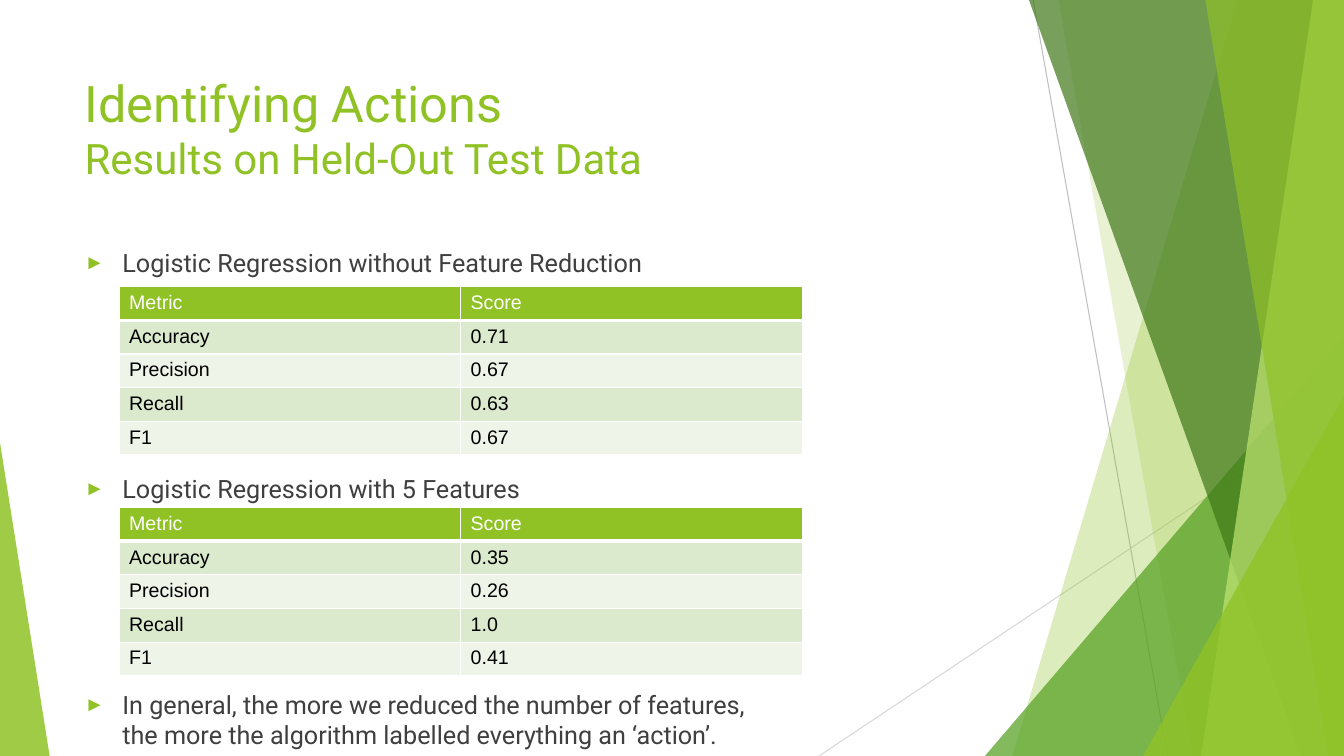
from lxml import etree
from pptx import Presentation
from pptx.dml.color import RGBColor
from pptx.enum import shapes, text
from pptx.oxml import ns
from pptx.util import Pt

LIME = RGBColor(0x90, 0xC2, 0x26)
PALE_LIME = RGBColor(0xBF, 0xE4, 0x71)
GREEN = RGBColor(0x54, 0xA0, 0x21)
DARK_GREEN = RGBColor(0x3F, 0x78, 0x18)
BAND_DARK = RGBColor(0xDB, 0xE9, 0xCD)
BAND_LIGHT = RGBColor(0xEE, 0xF4, 0xE8)
GRAY = RGBColor(0xBF, 0xBF, 0xBF)
LIGHT_GRAY = RGBColor(0xD8, 0xD8, 0xD8)
BODY_GRAY = RGBColor(0x3F, 0x3F, 0x3F)
WHITE = RGBColor(0xFF, 0xFF, 0xFF)
BLACK = RGBColor(0, 0, 0)

WIDTH, HEIGHT = 960, 540
METRICS = ("Accuracy", "Precision", "Recall", "F1")


def add_child(parent, tag, **attributes):
    return etree.SubElement(parent, ns.qn(tag), attributes)


def paint(facet, color, opacity):
    facet.shadow.inherit = False
    facet.line.fill.background()
    facet.fill.solid()
    facet.fill.fore_color.rgb = color
    rgb = facet.element.spPr.find(".//" + ns.qn("a:srgbClr"))
    add_child(rgb, "a:alpha", val=str(opacity * 1000))


def add_panel(slide, top_x, bottom_x, color, opacity):
    """Panel from a slanted left edge to the right edge of the slide."""
    outline = slide.shapes.build_freeform(Pt(top_x), 0)
    outline.add_line_segments(
        [(Pt(WIDTH), 0), (Pt(WIDTH), Pt(HEIGHT)), (Pt(bottom_x), Pt(HEIGHT))])
    paint(outline.convert_to_shape(), color, opacity)


def add_corner(slide, left, top, width, apex, color, opacity):
    """Triangle that stands on the bottom edge of the slide."""
    corner = slide.shapes.add_shape(
        shapes.MSO_SHAPE.ISOSCELES_TRIANGLE,
        Pt(left), Pt(top), Pt(width), Pt(HEIGHT - top))
    corner.adjustments[0] = apex
    paint(corner, color, opacity)


def add_hairline(slide, x1, y1, x2, y2, color):
    hairline = slide.shapes.add_connector(
        shapes.MSO_CONNECTOR.STRAIGHT, Pt(x1), Pt(y1), Pt(x2), Pt(y2))
    hairline.line.color.rgb = color
    hairline.line.width = Pt(0.75)
    add_child(hairline.element.spPr, "a:effectLst")


def add_text(slide, top, height):
    frame = slide.shapes.add_textbox(Pt(53.3), Pt(top), Pt(677), Pt(height)).text_frame
    frame.word_wrap = True
    frame.vertical_anchor = text.MSO_ANCHOR.TOP
    return frame


def write(paragraph, words, size, color, font="Roboto"):
    paragraph.text = words
    paragraph.font.name = font
    paragraph.font.size = Pt(size)
    paragraph.font.color.rgb = color


def add_bullet(paragraph):
    properties = paragraph._p.get_or_add_pPr()
    properties.set("marL", str(Pt(27)))
    properties.set("indent", str(-Pt(27)))
    add_child(add_child(properties, "a:buClr"), "a:srgbClr", val=str(LIME))
    add_child(properties, "a:buSzPct", val="80000")
    add_child(properties, "a:buFont", typeface="Arial")
    add_child(properties, "a:buChar", char="►")


def add_borders(cell, bottom):
    properties = cell._tc.get_or_add_tcPr()
    for side, width in (("L", 1), ("R", 1), ("T", 1), ("B", bottom)):
        border = add_child(properties, f"a:ln{side}", w=str(Pt(width)))
        add_child(add_child(border, "a:solidFill"), "a:srgbClr", val=str(WHITE))


def add_scores(slide, top, scores):
    rows = [("Metric", "Score"), *zip(METRICS, scores)]
    row_height = 22.4
    table = slide.shapes.add_table(
        len(rows), 2, Pt(85), Pt(top), Pt(488), Pt(row_height * len(rows))).table
    for i, row in enumerate(rows):
        table.rows[i].height = Pt(row_height)
        for j, words in enumerate(row):
            cell = table.cell(i, j)
            header = i == 0
            add_borders(cell, 3 if header else 1)
            cell.fill.solid()
            cell.fill.fore_color.rgb = (
                LIME if header else BAND_DARK if i % 2 else BAND_LIGHT)
            paragraph = cell.text_frame.paragraphs[0]
            write(paragraph, words, 14, WHITE if header else BLACK, "Arial")
            paragraph.font.bold = False


def add_backdrop(slide):
    add_hairline(slide, 738, 0, 834, HEIGHT, GRAY)
    add_hairline(slide, WIDTH, 290, 585, HEIGHT, LIGHT_GRAY)
    add_panel(slide, 884, 723, LIME, 30)
    add_panel(slide, 756, 852, LIME, 20)
    add_corner(slide, 703.5, 240, 256.5, 1, GREEN, 72)
    add_panel(slide, 735, 929.5, DARK_GREEN, 70)
    add_panel(slide, 938, 858, PALE_LIME, 70)
    add_panel(slide, 861, 949, LIME, 65)
    add_corner(slide, 816.5, 283, 143.5, 1, LIME, 80)
    add_corner(slide, 0, 316, 35.5, 0, LIME, 85)


def main():
    deck = Presentation()
    deck.slide_width, deck.slide_height = Pt(WIDTH), Pt(HEIGHT)
    slide = deck.slides.add_slide(deck.slide_layouts[6])
    add_backdrop(slide)

    # Title and subtitle
    title = add_text(slide, 48, 104)
    write(title.paragraphs[0], "Identifying Actions", 36, LIME)
    write(title.add_paragraph(), "Results on Held-Out Test Data", 30, LIME)

    # Findings, spaced to leave room for the tables
    findings = (
        ("Logistic Regression without Feature Reduction", 0),
        ("Logistic Regression with 5 Features", 140),
        ("In general, the more we reduced the number of features, \v"
         "the more the algorithm labelled everything an ‘action’.", 132.5),
    )
    body = add_text(slide, 173, 303)
    for i, (words, gap) in enumerate(findings):
        finding = body.add_paragraph() if i else body.paragraphs[0]
        write(finding, words, 18, BODY_GRAY)
        add_bullet(finding)
        finding.space_before = Pt(gap)

    # Score tables
    add_scores(slide, 204.8, ("0.71", "0.67", "0.63", "0.67"))
    add_scores(slide, 362.5, ("0.35", "0.26", "1.0", "0.41"))

    deck.save("out.pptx")


if __name__ == "__main__":
    main()
